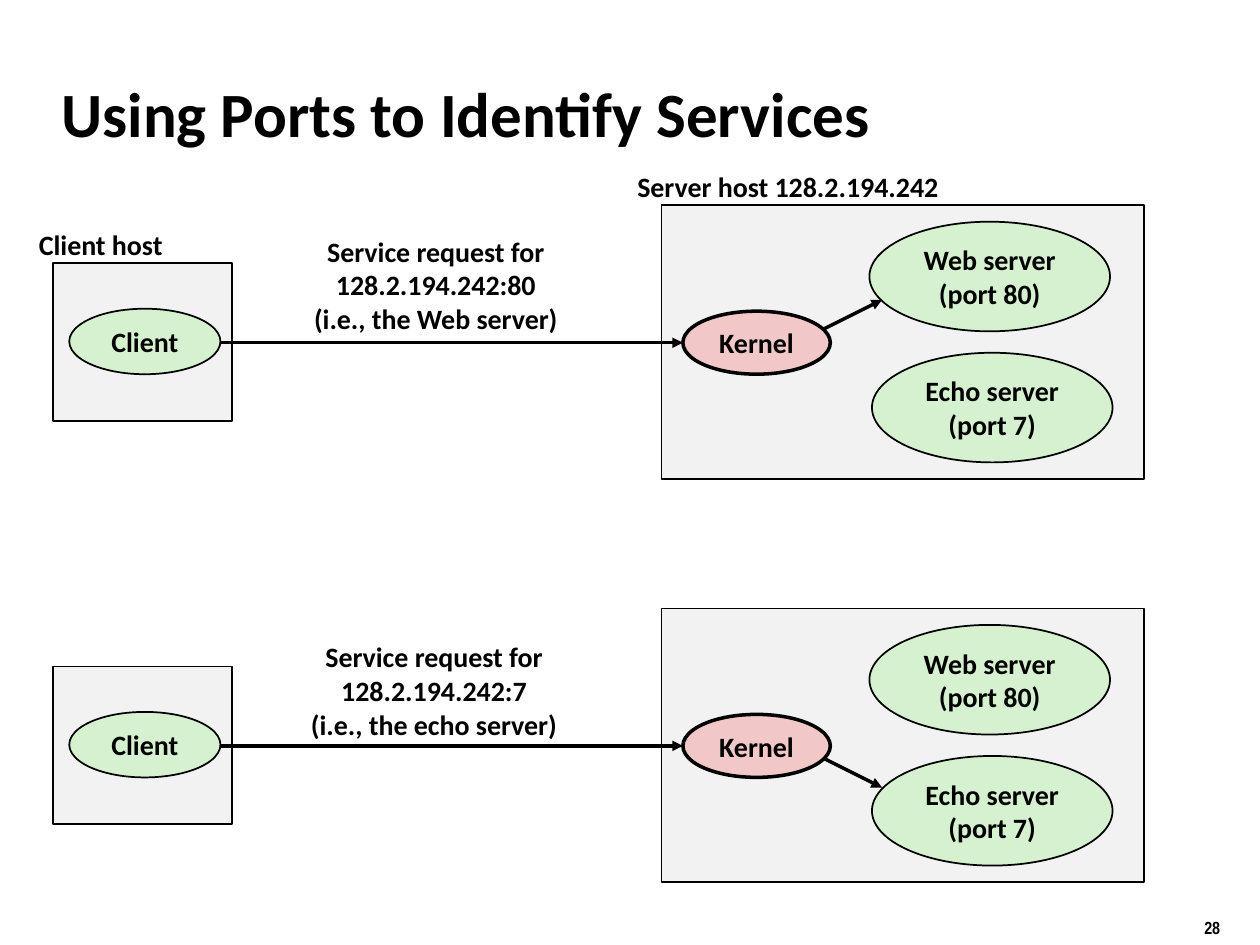
from pptx import Presentation
from pptx.dml.color import RGBColor
from pptx.enum.shapes import MSO_CONNECTOR as Link, MSO_SHAPE as Kind
from pptx.enum.text import MSO_ANCHOR as Anchor, PP_ALIGN as Align
from pptx.oxml.ns import qn
from pptx.util import Inches, Pt
from lxml.etree import SubElement

BLACK, GREY, GREEN, PINK = "000000", "F2F2F2", "D5F1CF", "F1C7C7"
STEP = 3.2  # drop from the first scene to the second

# Places within a scene: left, top, width, height
HOSTS = [(0.42, 2.09, 1.42, 1.25), (5.25, 1.63, 3.83, 2.17)]
SERVERS = [
    (["Web server", "(port 80)"], (6.9, 1.76, 1.91, 0.87)),
    (["Echo server", "(port 7)"], (6.92, 2.8, 1.91, 0.87)),
]
NODES = [
    ("Kernel", (5.42, 2.47, 1.17, 0.5), PINK, 2),
    ("Client", (0.55, 2.45, 1.2, 0.52), GREEN, 1),
]
REQUEST = (1.67, 2.72, 5.42, 2.72)

# Request text, its place, and the arrow from kernel to server
SCENES = [
    (["Service request for", "128.2.194.242:80", "(i.e., the Web server)"],
     (2.01, 1.81, 2.9, 0.9), (6.5, 2.63, 7, 2.38)),
    (["Service request for", "128.2.194.242:7", "(i.e., the echo server)"],
     (2.19, 1.83, 2.51, 0.9), (6.5, 2.8, 7, 3.05)),
]

# Text, place, size, font, anchor
LABELS = [
    ("Using Ports to Identify Services", (0.39, 0.48, 8.3, 0.83), 36,
     "Calibri", Anchor.MIDDLE),
    ("Client host", (0.21, 1.76, 1.39, 0.36), 16, "Calibri", Anchor.TOP),
    ("Server host 128.2.194.242", (4.96, 1.3, 2.97, 0.36), 16,
     "Calibri", Anchor.TOP),
    ("28", (9.46, 7.23, 0.74, 0.26), 10, "Arial Narrow", Anchor.TOP),
]

deck = Presentation()
deck.slide_width, deck.slide_height = Inches(10), Inches(7.5)
slide = deck.slides.add_slide(deck.slide_layouts[6])
shapes = slide.shapes


def color(code):
    return RGBColor.from_string(code)


def inches(nums):
    return [Inches(n) for n in nums]


def lower(place, drop):
    left, top, *size = place
    return (left, top + drop, *size)


def write(shape, lines, size=16, font="Calibri", align=Align.CENTER,
          anchor=Anchor.MIDDLE, wrap=True):
    frame = shape.text_frame
    frame.word_wrap = wrap
    frame.vertical_anchor = anchor
    for i, line in enumerate(lines):
        para = frame.add_paragraph() if i else frame.paragraphs[0]
        para.alignment = align
        run = para.add_run()
        run.text = line
        run.font.size, run.font.name, run.font.bold = Pt(size), font, True
        run.font.color.rgb = color(BLACK)


def draw(kind, place, fill, width=1, lines=()):
    shape = shapes.add_shape(kind, *inches(place))
    shape.shadow.inherit = False
    shape.fill.solid()
    shape.fill.fore_color.rgb = color(fill)
    shape.line.color.rgb = color(BLACK)
    shape.line.width = Pt(width)
    if lines:
        write(shape, lines, wrap=False)


def arrow(ends):
    line = shapes.add_connector(Link.STRAIGHT, *inches(ends))
    line.line.color.rgb = color(BLACK)
    line.line.width = Pt(2)
    SubElement(line.line._get_or_add_ln(), qn("a:tailEnd"), type="triangle")
    SubElement(line._element.spPr, qn("a:effectLst"))


for row, (lines, place, (x1, y1, x2, y2)) in enumerate(SCENES):
    drop = row * STEP
    for host in HOSTS:
        draw(Kind.RECTANGLE, lower(host, drop), GREY)
    for name, spot in SERVERS:
        draw(Kind.OVAL, lower(spot, drop), GREEN, lines=name)
    box = shapes.add_textbox(*inches(lower(place, drop)))
    write(box, lines, anchor=Anchor.TOP)
    left, start, right, end = REQUEST
    arrow((left, start + drop, right, end + drop))
    arrow((x1, y1 + drop, x2, y2 + drop))
    for name, spot, fill, width in NODES:
        draw(Kind.OVAL, lower(spot, drop), fill, width, [name])

for text, place, size, font, anchor in LABELS:
    box = shapes.add_textbox(*inches(place))
    write(box, [text], size, font, Align.LEFT, anchor)

deck.save("out.pptx")
